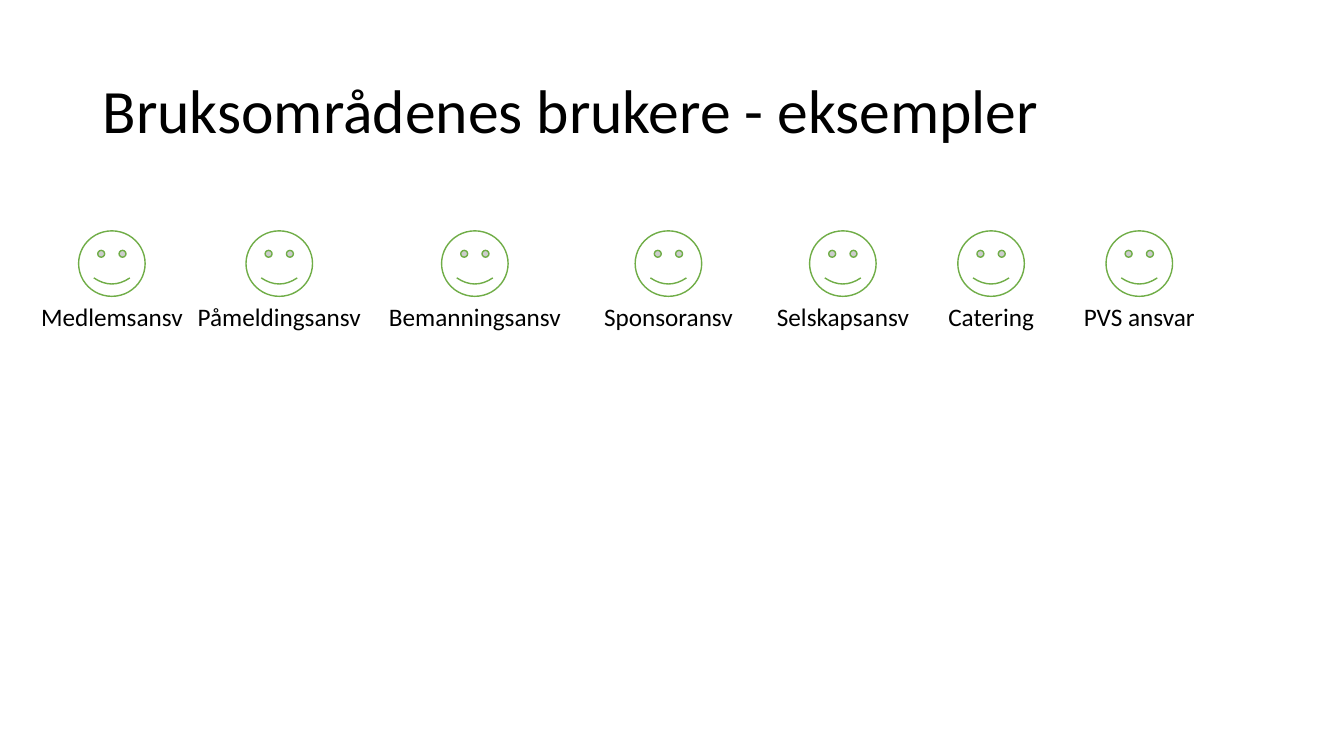
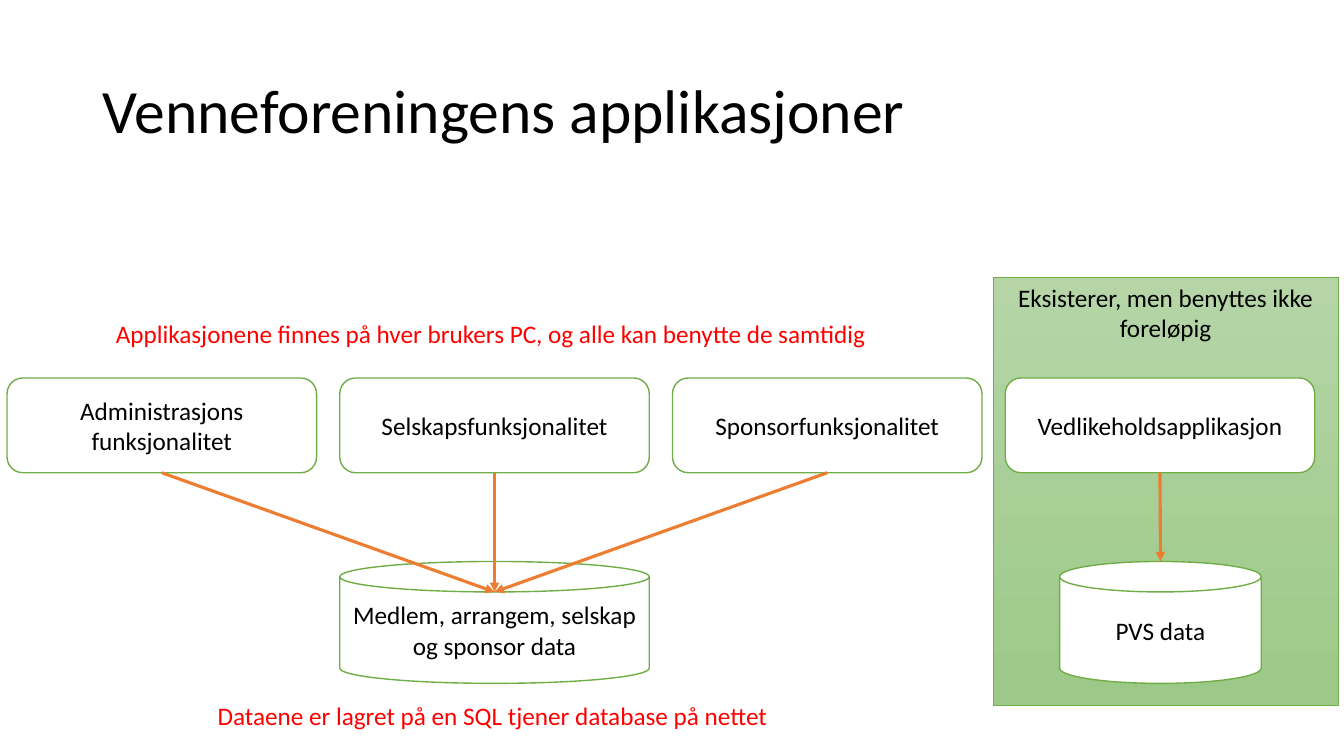
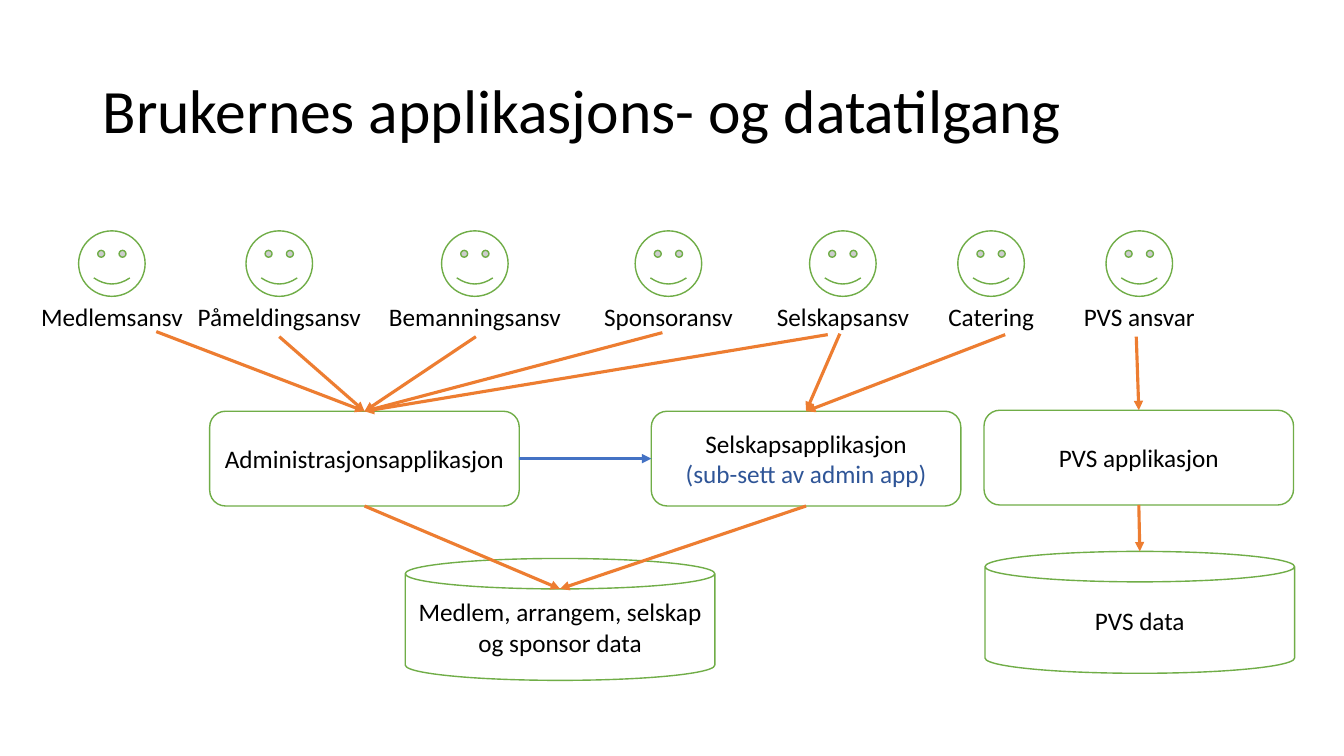
from lxml import etree
from pptx import Presentation
from pptx.dml.color import RGBColor
from pptx.enum.shapes import MSO_CONNECTOR, MSO_SHAPE
from pptx.enum.text import MSO_ANCHOR, PP_ALIGN
from pptx.oxml.ns import qn
from pptx.util import Inches, Pt

FONT = "Calibri"
BLACK, WHITE, RED = "000000", "FFFFFF", "FF0000"
GREEN, ORANGE, BLUE, DARK_BLUE = "70AD47", "ED7D31", "4472C4", "2F5597"
PANEL_STOPS = ("B5D5A7", "9CC987")

APP_WIDTH, APP_HEIGHT, CAN_HEIGHT = 3.07, 0.94, 1.21
APP_PITCH = 3.3
SHARED_DATA = "Medlem, arrangem, selskap og sponsor data"
# Name and horizontal centre of each user
USERS = [
    ("Medlemsansv", 1.11), ("Påmeldingsansv", 2.77), ("Bemanningsansv", 4.71),
    ("Sponsoransv", 6.63), ("Selskapsansv", 8.36), ("Catering", 9.83),
    ("PVS ansvar", 11.3),
]


def colour(value):
    return RGBColor.from_string(value)


def inches(*lengths):
    return [Inches(length) for length in lengths]


def set_text(frame, lines, size=18, align=PP_ALIGN.CENTER, anchor=MSO_ANCHOR.MIDDLE,
             wrap=True, spacing=None):
    """Write (text, colour) lines, one paragraph each."""
    for name, value in {"word_wrap": wrap, "vertical_anchor": anchor}.items():
        setattr(frame, name, value)
    for index, (text, ink) in enumerate(lines):
        para = frame.add_paragraph() if index else frame.paragraphs[0]
        para.alignment, para.line_spacing = align, spacing
        span = para.add_run()
        span.text = text
        for name, value in {"name": FONT, "size": Pt(size)}.items():
            setattr(span.font, name, value)
        span.font.color.rgb = colour(ink)


def add_label(shapes, box, text, ink=BLACK, **formats):
    label = shapes.add_textbox(*inches(*box))
    set_text(label.text_frame, [(text, ink)], **formats)


def add_outlined(shapes, kind, box, lines=(), line_width=1, **formats):
    shape = shapes.add_shape(kind, *inches(*box))
    shape.shadow.inherit = False
    shape.fill.solid()
    shape.fill.fore_color.rgb = colour(WHITE)
    shape.line.color.rgb = colour(GREEN)
    shape.line.width = Pt(line_width)
    set_text(shape.text_frame, lines, **formats)
    return shape


def add_app(slide, left, top, *lines):
    return add_outlined(slide.shapes, MSO_SHAPE.FLOWCHART_ALTERNATE_PROCESS,
                        (left, top, APP_WIDTH, APP_HEIGHT), lines)


def add_data(slide, left, top, text, width=APP_WIDTH):
    return add_outlined(slide.shapes, MSO_SHAPE.CAN,
                        (left, top, width, CAN_HEIGHT), [(text, BLACK)])


def point_on(shape, across, down):
    """Point at the given fractions of a shape's width and height."""
    return (shape.left + int(shape.width * across),
            shape.top + int(shape.height * down))


def top_of(shape):
    return point_on(shape, 0.5, 0)


def bottom_of(shape):
    return point_on(shape, 0.5, 1)


def rim_of(can):
    """Lowest point of the front edge of the lid."""
    return point_on(can, 0.5, 0.25)


def add_arrow(slide, start, end, ink=ORANGE):
    arrow = slide.shapes.add_connector(MSO_CONNECTOR.STRAIGHT, *start, *end)
    arrow.line.color.rgb = colour(ink)
    arrow.line.width = Pt(2.25)
    etree.SubElement(arrow.line._get_or_add_ln(), qn("a:tailEnd"), type="triangle")
    etree.SubElement(arrow._element.spPr, qn("a:effectLst"))


def add_titled_slide(deck, title):
    slide = deck.slides.add_slide(deck.slide_layouts[6])
    add_label(slide.shapes, (0.92, 0.4, 11.5, 1.45), title, size=44,
              align=PP_ALIGN.LEFT, spacing=0.9)
    return slide


def add_users(slide, top=2.29, face_width=0.66, face_height=0.65, label_width=1.92):
    for name, centre in USERS:
        shapes = slide.shapes.add_group_shape().shapes
        add_outlined(shapes, MSO_SHAPE.SMILEY_FACE,
                     (centre - face_width / 2, top, face_width, face_height))
        add_label(shapes, (centre - label_width / 2, top + face_height, label_width, 0.4),
                  name, wrap=False)


def add_unused_panel(slide, box):
    panel = add_outlined(slide.shapes, MSO_SHAPE.RECTANGLE, box,
                         [("Eksisterer, men benyttes ikke foreløpig", BLACK)],
                         line_width=0.5, anchor=MSO_ANCHOR.TOP)
    panel.fill.gradient()
    panel.fill.gradient_angle = 270
    for stop, (position, ink) in zip(panel.fill.gradient_stops, enumerate(PANEL_STOPS)):
        stop.position = position
        stop.color.rgb = colour(ink)


def build_users(deck):
    add_users(add_titled_slide(deck, "Bruksområdenes brukere - eksempler"))


def build_applications(deck):
    slide = add_titled_slide(deck, "Venneforeningens applikasjoner")
    add_unused_panel(slide, (9.85, 2.75, 3.42, 4.25))
    names = ["Administrasjons funksjonalitet", "Selskapsfunksjonalitet",
             "Sponsorfunksjonalitet", "Vedlikeholdsapplikasjon"]
    *shared_apps, upkeep = [add_app(slide, 0.07 + APP_PITCH * column, 3.75, (name, BLACK))
                            for column, name in enumerate(names)]
    shared_data = add_data(slide, 0.07 + APP_PITCH, 5.57, SHARED_DATA)
    pvs_data = add_data(slide, 10.51, 5.57, "PVS data", width=2)
    for app in shared_apps:
        add_arrow(slide, bottom_of(app), rim_of(shared_data))
    add_arrow(slide, bottom_of(upkeep), top_of(pvs_data))
    notes = [
        ((1.05, 3.11, 7.74, 0.4),
         "Applikasjonene finnes på hver brukers PC, og alle kan benytte de samtidig"),
        ((2.06, 6.9, 5.77, 0.4), "Dataene er lagret på en SQL tjener database på nettet"),
    ]
    for box, text in notes:
        add_label(slide.shapes, box, text, RED, align=PP_ALIGN.LEFT, wrap=False)


def build_access(deck):
    slide = add_titled_slide(deck, "Brukernes applikasjons- og datatilgang")
    add_users(slide)
    admin = add_app(slide, 2.08, 4.08, ("Administrasjonsapplikasjon", BLACK))
    company = add_app(slide, 6.46, 4.08, ("Selskapsapplikasjon", BLACK),
                      ("(sub-sett av admin app)", DARK_BLUE))
    pvs = add_app(slide, 6.46 + APP_PITCH, 4.07, ("PVS applikasjon", BLACK))
    shared_data = add_data(slide, 4.02, 5.54, SHARED_DATA)
    pvs_data = add_data(slide, 9.77, 5.47, "PVS data")
    user_starts = [
        (admin, [(1.55, 3.29), (2.77, 3.34), (4.72, 3.34), (6.57, 3.3), (8.21, 3.32)]),
        (company, [(8.33, 3.31), (9.97, 3.32)]),
        (pvs, [(11.27, 3.34)]),
    ]
    for app, starts in user_starts:
        for start in starts:
            add_arrow(slide, inches(*start), top_of(app))
    for app in (admin, company):
        add_arrow(slide, bottom_of(app), rim_of(shared_data))
    add_arrow(slide, bottom_of(pvs), top_of(pvs_data))
    add_arrow(slide, point_on(admin, 1, 0.5), point_on(company, 0, 0.5), BLUE)


def main():
    deck = Presentation()
    deck.slide_width, deck.slide_height = inches(13.33, 7.5)
    for build in (build_users, build_applications, build_access):
        build(deck)
    deck.save("out.pptx")


if __name__ == "__main__":
    main()
